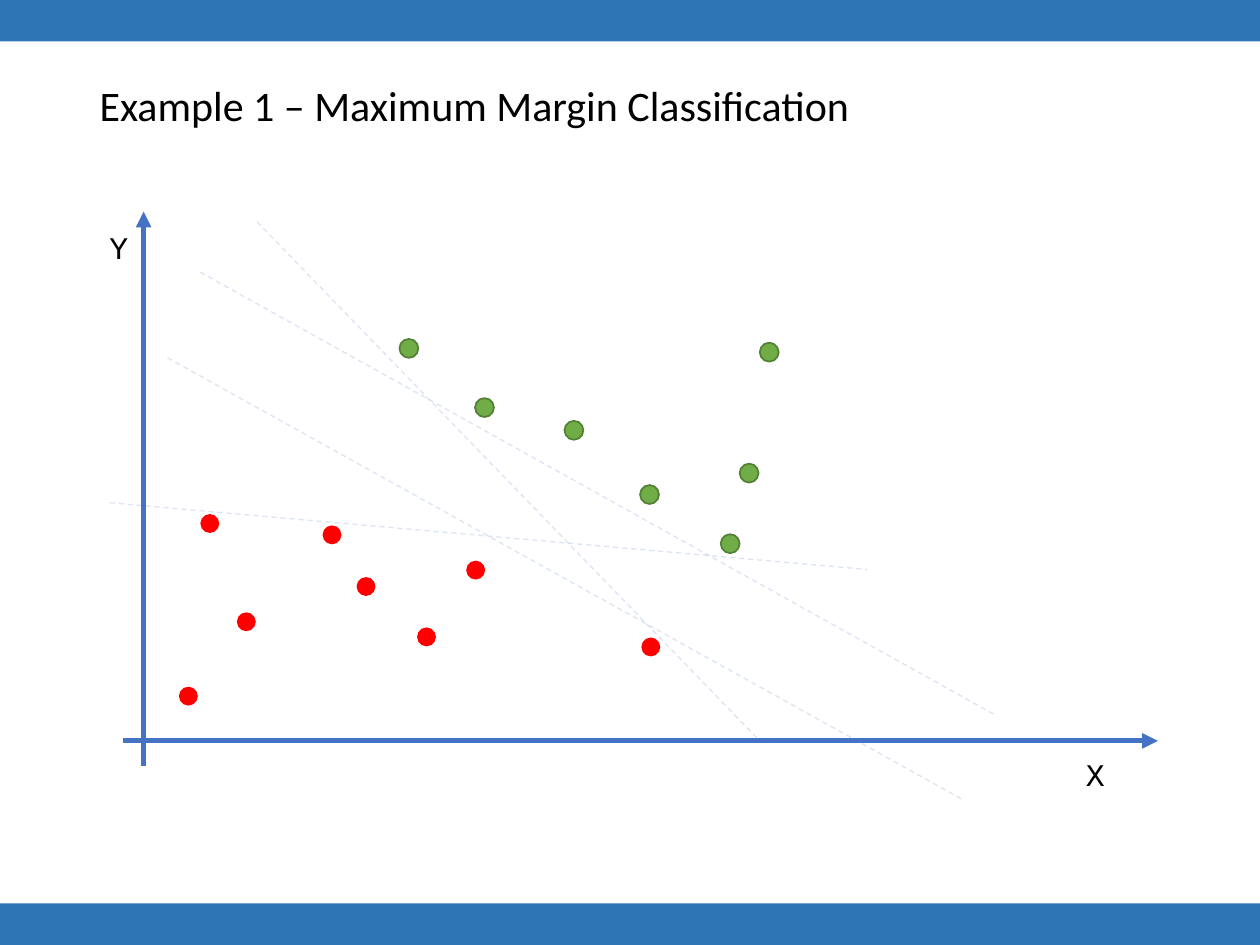
import pptx
import pptx.util
import pptx.dml.color
import pptx.enum.dml
import pptx.enum.shapes
import pptx.enum.text
import pptx.oxml.ns
import pptx.oxml.xmlchemy

Inches = pptx.util.Inches
Pt = pptx.util.Pt
SHAPE = pptx.enum.shapes.MSO_SHAPE
DOT_SIZE = 0.15
BLUE = "4472C4"

RED_DOTS = [(1.42, 5.45), (5.09, 5.06), (1.59, 4.08), (2.83, 4.58),
            (3.7, 4.45), (1.88, 4.86), (3.31, 4.98), (2.56, 4.17)]
GREEN_DOTS = [(3.77, 3.16), (5.72, 4.24), (5.87, 3.68), (6.03, 2.72),
              (3.17, 2.69), (5.08, 3.85), (4.48, 3.34)]
AXES = [(0.98, 5.88, 9.19, 5.88), (1.14, 6.08, 1.14, 1.68)]
SEPARATORS = [(2.04, 1.76, 6.03, 5.88), (0.87, 3.99, 6.88, 4.52),
              (1.59, 2.16, 7.89, 5.67), (1.33, 2.84, 7.63, 6.34)]


def rgb(color):
    return pptx.dml.color.RGBColor.from_string(color)


def add_xml(parent, tag, **attributes):
    child = pptx.oxml.xmlchemy.OxmlElement(tag)
    for name, value in attributes.items():
        child.set(name, value)
    parent.append(child)


def add_run(p, text, size, font):
    r = p.add_run()
    r.text = text
    r.font.size = Pt(size)
    r.font.name = font
    r.font.color.rgb = rgb("000000")


def add_filled(s, kind, x, y, w, h, fill, line=None):
    sp = s.shapes.add_shape(kind, Inches(x), Inches(y), Inches(w), Inches(h))
    sp.shadow.inherit = False
    sp.fill.solid()
    sp.fill.fore_color.rgb = rgb(fill)
    if line:
        sp.line.color.rgb = rgb(line)
        sp.line.width = Pt(1)
    else:
        sp.line.fill.background()


def set_title(s, text):
    sp = s.shapes.title
    sp.left, sp.top = Inches(0.69), Inches(0.4)
    sp.width, sp.height = Inches(8.62), Inches(0.91)
    tf = sp.text_frame
    tf.vertical_anchor = pptx.enum.text.MSO_ANCHOR.MIDDLE
    p = tf.paragraphs[0]
    p.alignment = pptx.enum.text.PP_ALIGN.LEFT
    p.line_spacing = 0.9
    add_run(p, text, 24, "Calibri")


def add_label(s, text, x, y):
    sp = s.shapes.add_textbox(Inches(x), Inches(y), Inches(0.34), Inches(0.4))
    tf = sp.text_frame
    tf.word_wrap = False
    tf.auto_size = pptx.enum.text.MSO_AUTO_SIZE.SHAPE_TO_FIT_TEXT
    add_run(tf.paragraphs[0], text, 18, "Courier New")


def add_line(s, ends, width):
    c = s.shapes.add_connector(pptx.enum.shapes.MSO_CONNECTOR.STRAIGHT,
                               *[Inches(v) for v in ends])
    c.line.color.rgb = rgb(BLUE)
    c.line.width = Pt(width)
    add_xml(c.element.spPr, "a:effectLst")
    return c


def add_axis(s, ends):
    c = add_line(s, ends, 3)
    ln = c.element.spPr.find(pptx.oxml.ns.qn("a:ln"))
    add_xml(ln, "a:tailEnd", type="triangle")


def add_separator(s, ends):
    c = add_line(s, ends, 0.75)
    c.line.dash_style = pptx.enum.dml.MSO_LINE.DASH
    color = c.element.spPr.find(".//" + pptx.oxml.ns.qn("a:srgbClr"))
    add_xml(color, "a:alpha", val="19000")


def main():
    prs = pptx.Presentation()
    prs.slide_width, prs.slide_height = Inches(10), Inches(7.5)
    s = prs.slides.add_slide(prs.slide_layouts[5])
    for y in (0, 7.17):
        add_filled(s, SHAPE.RECTANGLE, 0, y, 10, 0.33, "2E75B6")
    set_title(s, "Example 1 – Maximum Margin Classification")
    for ends in AXES:
        add_axis(s, ends)
    for dots, fill, line in ((RED_DOTS, "FF0000", None),
                             (GREEN_DOTS, "70AD47", "538035")):
        for x, y in dots:
            add_filled(s, SHAPE.OVAL, x, y, DOT_SIZE, DOT_SIZE, fill, line)
    add_label(s, "X", 8.52, 5.94)
    add_label(s, "Y", 0.77, 1.76)
    for ends in SEPARATORS:
        add_separator(s, ends)
    prs.save("out.pptx")


if __name__ == "__main__":
    main()
